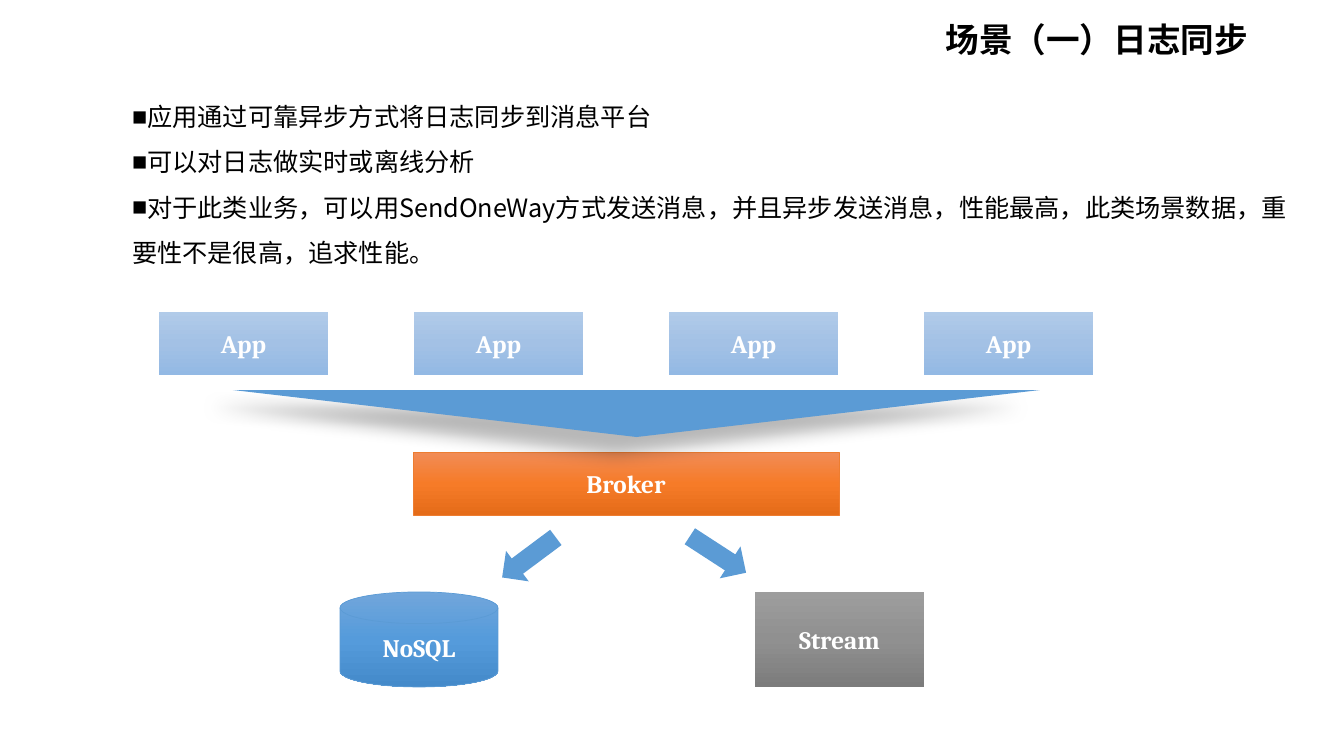
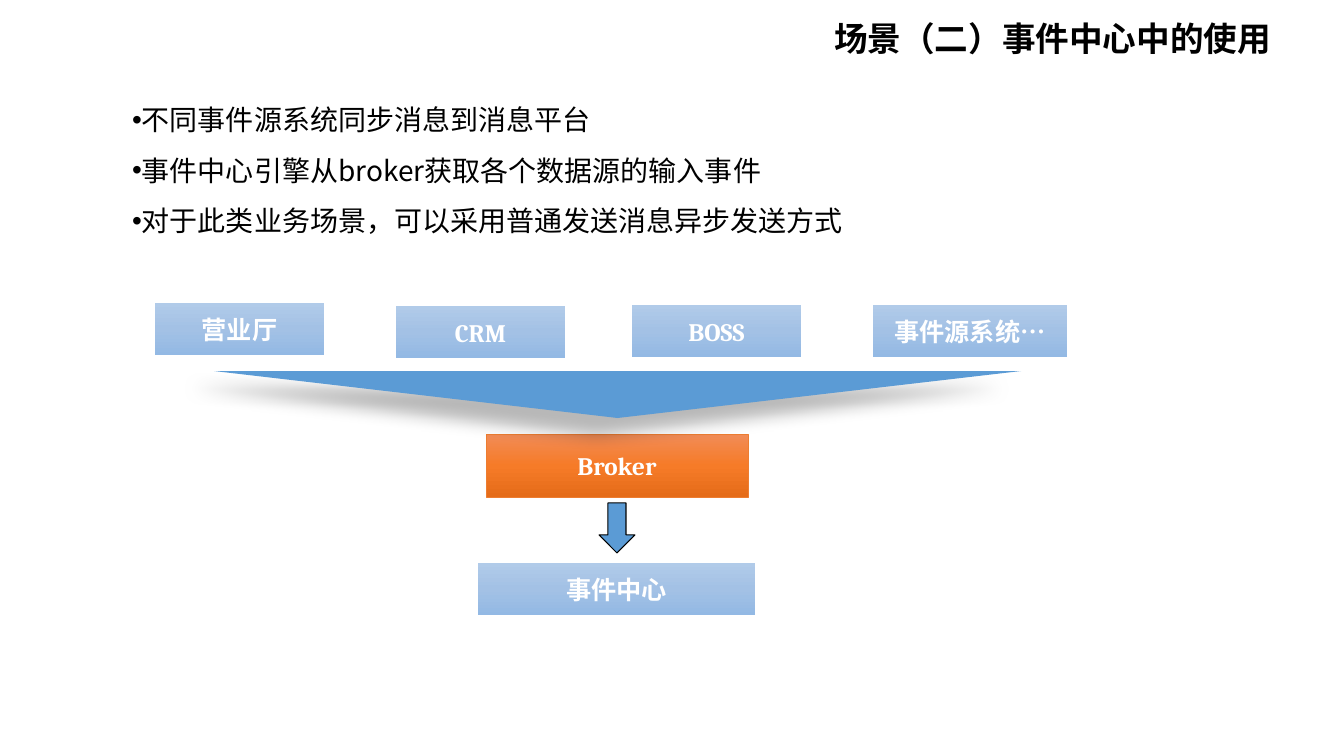
import pptx
import pptx.util
import pptx.dml.color
import pptx.enum.shapes
import pptx.enum.text
import pptx.oxml
import pptx.oxml.ns
import copy

PX = 12192000 / 1344
SHAPE = pptx.enum.shapes.MSO_SHAPE
ALIGN = pptx.enum.text.PP_ALIGN
qn = pptx.oxml.ns.qn
NS = pptx.oxml.ns.nsdecls("a")

# Shared style: gradients run from top to bottom
BLACK, WHITE, BLUE = "000000", "FFFFFF", "5B9BD5"
CJK = "Noto Sans CJK SC"
LIGHT = ("B1CBE9", "A3C1E5", "93B9E4")
ORANGE = ("F18C57", "F67B28", "E56C19")
DEEP = ("71A6DB", "559BDB", "448ACA")
GRAY = ("9D9D9D", "909090", "7C7C7C")
TITLE = {"size": pptx.util.Pt(24), "name": "Quicksand", "bold": True}
BODY = {"name": CJK, "bold": False}
LABEL = {"size": pptx.util.Pt(18), "name": "Cambria", "bold": True}


def px(n):
    return pptx.util.Emu(round(n * PX))


def rgb(color):
    return pptx.dml.color.RGBColor.from_string(color)


class Deck:
    def __init__(self):
        self.prs = pptx.Presentation()
        self.prs.slide_width, self.prs.slide_height = px(1344), px(756)

    def slide(self):
        self.s = self.prs.slides.add_slide(self.prs.slide_layouts[1])

    def frame(self, sp, box):
        for key, n in zip(("left", "top", "width", "height"), box):
            setattr(sp, key, px(n))
        sp.text_frame.auto_size = pptx.enum.text.MSO_AUTO_SIZE.NONE
        return sp.text_frame

    def label(self, p, text, style, color, align):
        p.alignment = align
        r = p.add_run()
        r.text = text
        for key, value in style.items():
            setattr(r.font, key, value)
        r.font.color.rgb = rgb(color)
        ea = pptx.oxml.parse_xml(f'<a:ea {NS} typeface="{CJK}"/>')
        r.font._element.find(qn("a:latin")).addnext(ea)

    def title(self, text, box):
        tf = self.frame(self.s.shapes.title, box)
        self.label(tf.paragraphs[0], text, TITLE, BLACK, ALIGN.RIGHT)

    def bullets(self, lines, box, size, mark):
        tf = self.frame(self.s.placeholders[1], box)
        style = {**BODY, "size": pptx.util.Pt(size)}
        for i, line in enumerate(lines):
            p = tf.add_paragraph() if i else tf.paragraphs[0]
            p.line_spacing = pptx.util.Pt(1.8 * size)
            p.space_before = p.space_after = pptx.util.Pt(0)
            self.label(p, line, style, BLACK, ALIGN.LEFT)
            pPr = p._p.get_or_add_pPr()
            pPr.set("marL", "0")
            pPr.set("indent", "-457200")
            pPr.append(pptx.oxml.parse_xml(f'<a:buChar {NS} char="{mark}"/>'))

    def shape(self, kind, box, fill=BLUE, line=None, width=0.5, rotation=0):
        sp = self.s.shapes.add_shape(kind, *map(px, box))
        sp.shadow.inherit = False
        sp.rotation = rotation
        if isinstance(fill, str):
            sp.fill.solid()
            sp.fill.fore_color.rgb = rgb(fill)
        else:
            self.gradient(sp, fill)
        if line:
            sp.line.color.rgb = rgb(line)
            sp.line.width = pptx.util.Pt(width)
        else:
            sp.line.fill.background()
        return sp

    def gradient(self, sp, colors):
        sp.fill.gradient()
        sp.fill.gradient_angle = 270
        stops = sp._element.spPr.find(".//" + qn("a:gsLst"))
        stops.insert(1, copy.deepcopy(stops[0]))
        for stop, at, color in zip(sp.fill.gradient_stops, (0, 0.5, 1), colors):
            stop.position = at
            stop.color.rgb = rgb(color)

    def node(self, text, box, fill=LIGHT, line=None, kind=SHAPE.RECTANGLE):
        tf = self.shape(kind, box, fill, line).text_frame
        tf.word_wrap = True
        tf.vertical_anchor = pptx.enum.text.MSO_ANCHOR.MIDDLE
        self.label(tf.paragraphs[0], text, LABEL, WHITE, ALIGN.CENTER)

    def broker(self, box):
        self.node("Broker", box, ORANGE, "ED7D31")

    def funnel(self, x, y):
        sp = self.shape(SHAPE.ISOSCELES_TRIANGLE, (x, y, 807, 47), rotation=180)
        sp._element.spPr.find(qn("a:effectLst")).append(pptx.oxml.parse_xml(
            f'<a:outerShdw {NS} blurRad="149860" dist="250190" dir="8460000" '
            'rotWithShape="0"><a:srgbClr val="000000"><a:alpha val="28000"/>'
            '</a:srgbClr></a:outerShdw>'))

    def arrow(self, box, **look):
        self.shape(SHAPE.DOWN_ARROW, box, **look)


def main():
    d = Deck()

    # Scenario 1: log synchronisation
    d.slide()
    d.title("场景（一）日志同步", (99, 12, 1159, 55))
    d.bullets(["应用通过可靠异步方式将日志同步到消息平台",
               "可以对日志做实时或离线分析",
               "对于此类业务，可以用SendOneWay方式发送消息，并且异步发送消息，"
               "性能最高，此类场景数据，重要性不是很高，追求性能。"],
              (122, 81, 1179, 607), 18, "■")
    for i in range(4):
        d.node("App", (159 + 255 * i, 312, 169, 63))
    d.broker((413, 452, 426, 63))
    d.node("NoSQL", (340, 592, 158, 95), DEEP, BLUE,
           SHAPE.FLOWCHART_MAGNETIC_DISK)
    d.node("Stream", (755, 592, 169, 95), GRAY)
    d.funnel(233, 390)
    for x, y, angle in ((510, 524, 53.3), (699, 521, 303)):
        d.arrow((x, y, 38, 67), rotation=angle)

    # Scenario 2: event centre
    d.slide()
    d.title("场景（二）事件中心中的使用", (122, 11, 1159, 55))
    d.bullets(["不同事件源系统同步消息到消息平台",
               "事件中心引擎从broker获取各个数据源的输入事件",
               "对于此类业务场景，可以采用普通发送消息异步发送方式"],
              (122, 81, 1176, 577), 20, "•")
    for text, x, y, w in (("营业厅", 155, 303, 169), ("CRM", 396, 306, 169),
                          ("BOSS", 632, 305, 169), ("事件源系统…", 873, 305, 194)):
        d.node(text, (x, y, w, 52))
    d.broker((486, 434, 262, 63))
    d.node("事件中心", (478, 563, 277, 52))
    d.arrow((599, 503, 36, 50), line=BLACK, width=0.75)
    d.funnel(214, 371)

    d.prs.save("out.pptx")


if __name__ == "__main__":
    main()
